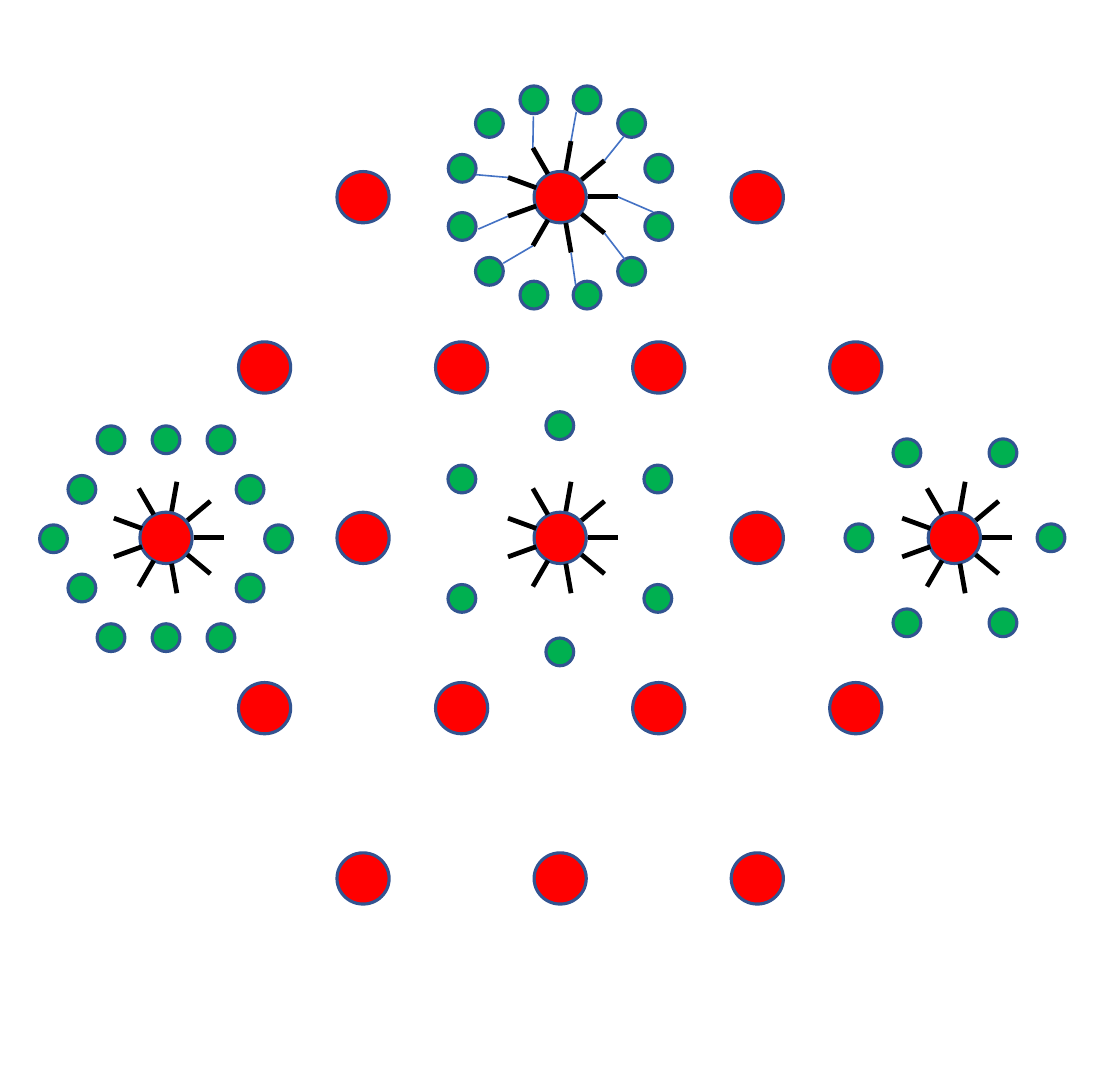
from itertools import product
from math import cos, radians, sin

from lxml.etree import SubElement
from pptx import Presentation
from pptx.dml.color import RGBColor
from pptx.enum.shapes import MSO_CONNECTOR, MSO_SHAPE
from pptx.oxml.ns import qn
from pptx.util import Pt

COLORS = {"hub": "FF0000", "dot": "00B050", "outline": "325491",
          "spoke": "000000", "link": "4472C4"}

prs = Presentation()
prs.slide_width, prs.slide_height = Pt(354.33), Pt(340.16)
s = prs.slides.add_slide(prs.slide_layouts[6])


def add_circle(x, y, w, h, color):
    sp = s.shapes.add_shape(MSO_SHAPE.OVAL, Pt(x - w / 2), Pt(y - h / 2), Pt(w), Pt(h))
    sp.shadow.inherit = False
    sp.fill.solid()
    sp.fill.fore_color.rgb = RGBColor.from_string(COLORS[color])
    sp.line.color.rgb = RGBColor.from_string(COLORS["outline"])
    sp.line.width = Pt(1)


def add_line(start, end, color, width):
    c = s.shapes.add_connector(MSO_CONNECTOR.STRAIGHT, *map(Pt, start + end))
    c.line.color.rgb = RGBColor.from_string(COLORS[color])
    c.line.width = Pt(width)
    SubElement(c._element.spPr, qn("a:effectLst"))


center_x, center_y = 177.25, 170.2
step_x, step_y = 62.35, 53.9
for row, count in enumerate([3, 4, 5, 4, 3]):
    for col in range(count):
        add_circle(center_x + (col - (count - 1) / 2) * step_x,
                   center_y + (row - 2) * step_y, 16.5, 16.2, "hub")

top = (center_x, center_y - 2 * step_y)
left = (center_x - 2 * step_x, center_y)
right = (center_x + 2 * step_x, center_y)
rings = [
    ((center_x, center_y), (-0.1, 0.3), [(0, 35.8), (31, 18.9)]),
    (right, (0.2, 0), [(30.4, 0), (15.2, 26.9)]),
    (left, (0, 0.3), [(0, 31.3), (17.4, 31.3), (26.6, 15.6), (35.6, 0)]),
    (top, (0.1, 0.1), [(8.4, 30.9), (22.5, 23.4), (31.1, 9.2)]),
]
link_ends = [(29.4, 4.7), (20.6, 19.9), (4.9, 27.8), (-18, 20.9), (-25.9, 10.1),
             (-26.6, -7.1), (-8.5, -25.6), (5.1, -27), (20.2, -19.3)]

for (x, y), (shift_x, shift_y), quarter in rings:
    dots = {(i * dx, j * dy) for dx, dy in quarter for i, j in product((-1, 1), repeat=2)}
    for dx, dy in sorted(dots):
        add_circle(x + shift_x + dx, y + shift_y + dy, 8.8, 8.8, "dot")
    for i, (dx, dy) in enumerate(link_ends):
        angle = radians(40 * i)
        inner, tip = [(x + 0.3 + r * cos(angle), y - 0.1 + r * sin(angle)) for r in (8.4, 17.9)]
        add_line(inner, tip, "spoke", 1.5)
        if (x, y) == top:
            add_line(tip, (x + dx, y + dy), "link", 0.5)

prs.save("out.pptx")
